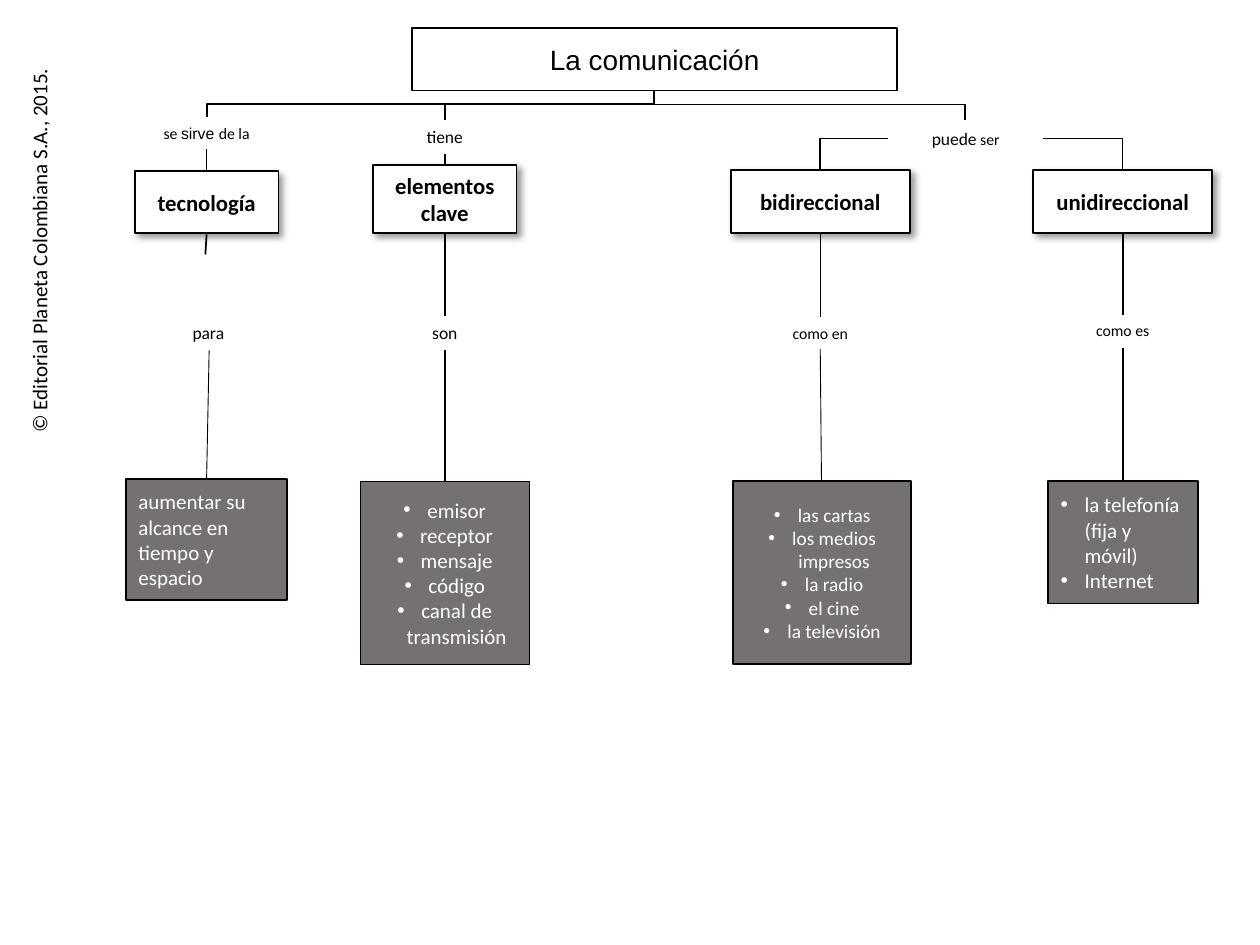
"""Concept map of communication, laid out on a grid of 100 columns by 75 rows."""
from dataclasses import dataclass

from lxml.etree import SubElement
from pptx import Presentation
from pptx.dml.color import RGBColor
from pptx.enum.shapes import MSO_CONNECTOR as Link, MSO_SHAPE as Preset
from pptx.enum.text import MSO_ANCHOR as Anchor, MSO_AUTO_SIZE as AutoSize, PP_ALIGN as Align
from pptx.oxml.ns import qn
from pptx.util import Inches, Pt

BLACK = RGBColor(0x00, 0x00, 0x00)
WHITE = RGBColor(0xFF, 0xFF, 0xFF)
GRAY = RGBColor(0x76, 0x71, 0x71)
COLUMNS, ROWS = 100, 75
TECHNOLOGY, ELEMENTS, TWO_WAY, ONE_WAY = 16.4, 35.3, 65.1, 89.1
Point = tuple[float, float]


@dataclass(frozen=True)
class Card:
    """A bordered box, placed by its left, top, width and height in cells."""
    area: tuple[float, float, float, float]
    lines: tuple[str, ...]
    size: float = 13
    face: str = "Calibri"
    fill: RGBColor = WHITE
    ink: RGBColor = BLACK
    border: float = 1
    bold: bool = False
    raised: bool = False
    bulleted: bool = False
    align: Align = Align.CENTER


@dataclass(frozen=True)
class Label:
    """Linking words made of (text, size, face) spans."""
    area: tuple[float, float, float, float]
    spans: tuple[tuple[str, float, str], ...]
    align: Align = Align.CENTER
    wrap: bool = True
    rotation: float = 0


@dataclass(frozen=True)
class Wire:
    """A straight or bent connector; a bent one may leave vertically."""
    start: Point
    end: Point
    width: float = 1
    bend: str = ""
    adjust: float | None = None
    vertical: bool = False


def cells(*counts: float) -> list[int]:
    """Convert grid cells to slide lengths."""
    return [Inches(count / 10) for count in counts]


def word(text: str, size: float = 9) -> tuple[tuple[str, float, str], ...]:
    """Return a label made of one Calibri span."""
    return ((text, size, "Calibri"),)


def heading(area: tuple[float, float, float, float], text: str) -> Card:
    """Describe a raised white heading."""
    return Card(area, (text,), bold=True, raised=True)


def detail(area: tuple[float, float, float, float], *lines: str, **options) -> Card:
    """Describe a gray card of details."""
    return Card(area, lines, **{"size": 12, "fill": GRAY, "ink": WHITE, "bulleted": True, **options})


def style_font(font, size: float, face: str, ink: RGBColor = BLACK, bold: bool = False) -> None:
    """Apply size, face, colour and weight to a font."""
    font.size, font.name, font.bold = Pt(size), face, bold
    font.color.rgb = ink


def add_bullet(para) -> None:
    """Give a paragraph a hanging round bullet."""
    properties = para._p.get_or_add_pPr()
    indent = Inches(0.19)
    properties.set("marL", str(indent))
    properties.set("indent", str(-indent))
    SubElement(properties, qn("a:buFont"), typeface="Arial")
    SubElement(properties, qn("a:buChar"), char="•")


def add_shadow(box) -> None:
    """Cast a soft shadow to the lower right."""
    effects = box._element.spPr.find(qn("a:effectLst"))
    shadow = SubElement(effects, qn("a:outerShdw"), blurRad=str(Pt(4)), dist=str(Pt(3)),
                        dir="2700000", algn="tl", rotWithShape="0")
    color = SubElement(shadow, qn("a:srgbClr"), val=str(BLACK))
    SubElement(color, qn("a:alpha"), val="40000")


def draw_card(page, card: Card) -> None:
    """Draw a card with its paragraphs."""
    box = page.shapes.add_shape(Preset.RECTANGLE, *cells(*card.area))
    box.shadow.inherit = False
    box.fill.solid()
    box.fill.fore_color.rgb = card.fill
    box.line.color.rgb = BLACK
    box.line.width = Pt(card.border)
    if card.raised:
        add_shadow(box)
    frame = box.text_frame
    frame.word_wrap = True
    frame.vertical_anchor = Anchor.MIDDLE
    for index, line in enumerate(card.lines):
        para = frame.add_paragraph() if index else frame.paragraphs[0]
        if card.bulleted:
            add_bullet(para)
        para.text = line
        para.alignment = card.align
        style_font(para.font, card.size, card.face, card.ink, card.bold)


def draw_label(page, label: Label) -> None:
    """Draw linking words as a text box."""
    box = page.shapes.add_textbox(*cells(*label.area))
    box.rotation = label.rotation
    frame = box.text_frame
    frame.word_wrap = label.wrap
    frame.auto_size = AutoSize.SHAPE_TO_FIT_TEXT
    para = frame.paragraphs[0]
    para.alignment = label.align
    for text, size, face in label.spans:
        span = para.add_run()
        span.text = text
        style_font(span.font if len(label.spans) > 1 else para.font, size, face)


def draw_wire(page, wire: Wire) -> None:
    """Draw a connector, turning its frame when it leaves vertically."""
    (x1, y1), (x2, y2) = wire.start, wire.end
    if wire.vertical:
        middle_x, middle_y = (x1 + x2) / 2, (y1 + y2) / 2
        half_x, half_y = (y2 - y1) / 2, (x1 - x2) / 2
        x1, x2 = middle_x - half_x, middle_x + half_x
        y1, y2 = middle_y - half_y, middle_y + half_y
    kind = Link.ELBOW if wire.bend else Link.STRAIGHT
    line = page.shapes.add_connector(kind, *cells(x1, y1, x2, y2))
    line.line.color.rgb = BLACK
    line.line.width = Pt(wire.width)
    properties = line._element.spPr
    SubElement(properties, qn("a:effectLst"))
    if wire.vertical:
        properties.find(qn("a:xfrm")).set("rot", "5400000")
    if wire.bend:
        geometry = properties.find(qn("a:prstGeom"))
        geometry.set("prst", wire.bend)
        if wire.adjust is not None:
            SubElement(geometry.find(qn("a:avLst")), qn("a:gd"), name="adj1",
                       fmla=f"val {round(wire.adjust * 100000)}")


WIRES = (
    Wire((51.9, 7.2), (TECHNOLOGY, 9.3), bend="bentConnector3", adjust=0.5, vertical=True),
    Wire((51.8, 8.3), (76.6, 9.5), bend="bentConnector3", adjust=1),
    Wire((82.8, 11), (ONE_WAY, 13.5), bend="bentConnector2"),
    Wire((TWO_WAY, 13.5), (70.5, 11), bend="bentConnector2", vertical=True),
    Wire((TECHNOLOGY, 11.8), (TECHNOLOGY, 13.6)),
    Wire((TECHNOLOGY, 18.6), (16.3, 20.2)),
    Wire((16.6, 27.8), (TECHNOLOGY, 38), 0.5),
    Wire((ELEMENTS, 8.2), (ELEMENTS, 9.5)),
    Wire((ELEMENTS, 12.2), (ELEMENTS, 13.1)),
    Wire((ELEMENTS, 18.6), (ELEMENTS, 25.1)),
    Wire((ELEMENTS, 27.8), (ELEMENTS, 38.2)),
    Wire((TWO_WAY, 18.6), (TWO_WAY, 25.2), 0.5),
    Wire((TWO_WAY, 27.7), (65.2, 38.2), 0.5),
    Wire((ONE_WAY, 18.5), (ONE_WAY, 25)),
    Wire((ONE_WAY, 27.6), (ONE_WAY, 38.2)),
)
CARDS = (
    Card((32.7, 2.2, 38.5, 5), ("La comunicación",), 16, "Arial"),
    heading((10.7, 13.6, 11.4, 4.9), "tecnología"),
    heading((29.6, 13.1, 11.4, 5.4), "elementos clave"),
    heading((58, 13.5, 14.2, 5), "bidireccional"),
    heading((82, 13.5, 14.2, 5), "unidireccional"),
    detail((10, 38, 12.8, 9.6), "aumentar su alcance en tiempo y espacio",
           bulleted=False, align=Align.LEFT),
    detail((28.6, 38.2, 13.4, 14.5), "emisor", "receptor", "mensaje", "código",
           "canal de transmisión", border=0.5),
    detail((58.2, 38.2, 14.1, 14.5), "las cartas", "los medios impresos", "la radio",
           "el cine", "la televisión", size=11),
    detail((83.2, 38.2, 11.9, 9.7), "la telefonía (fija y móvil)", "Internet", align=Align.LEFT),
)
LABELS = (
    Label((-12.5, 18.2, 31.2, 3), word("© Editorial Planeta Colombiana S.A., 2015.", 12),
          Align.LEFT, False, 270),
    Label((11.1, 9.3, 10.6, 2.5), word("se ") + (("sirve ", 9, "Arial"),) + word("de la")),
    Label((30, 9.5, 10.6, 2.7), word("tiene", 10)),
    Label((70.5, 9.7, 12.3, 2.7), word("puede", 10) + word(" ser")),
    Label((14.3, 25.1, 4.6, 2.7), word("para", 10), Align.LEFT, False),
    Label((27.7, 25.1, 15.2, 2.7), word("son", 10)),
    Label((59.4, 25.2, 11.4, 2.5), word("como en")),
    Label((81.5, 25, 15.2, 2.5), word("como es")),
)


def main() -> None:
    """Build and save the concept map."""
    deck = Presentation()
    deck.slide_width, deck.slide_height = cells(COLUMNS, ROWS)
    page = deck.slides.add_slide(deck.slide_layouts[6])
    for items, draw in ((WIRES, draw_wire), (CARDS, draw_card), (LABELS, draw_label)):
        for item in items:
            draw(page, item)
    deck.save("out.pptx")


if __name__ == "__main__":
    main()
